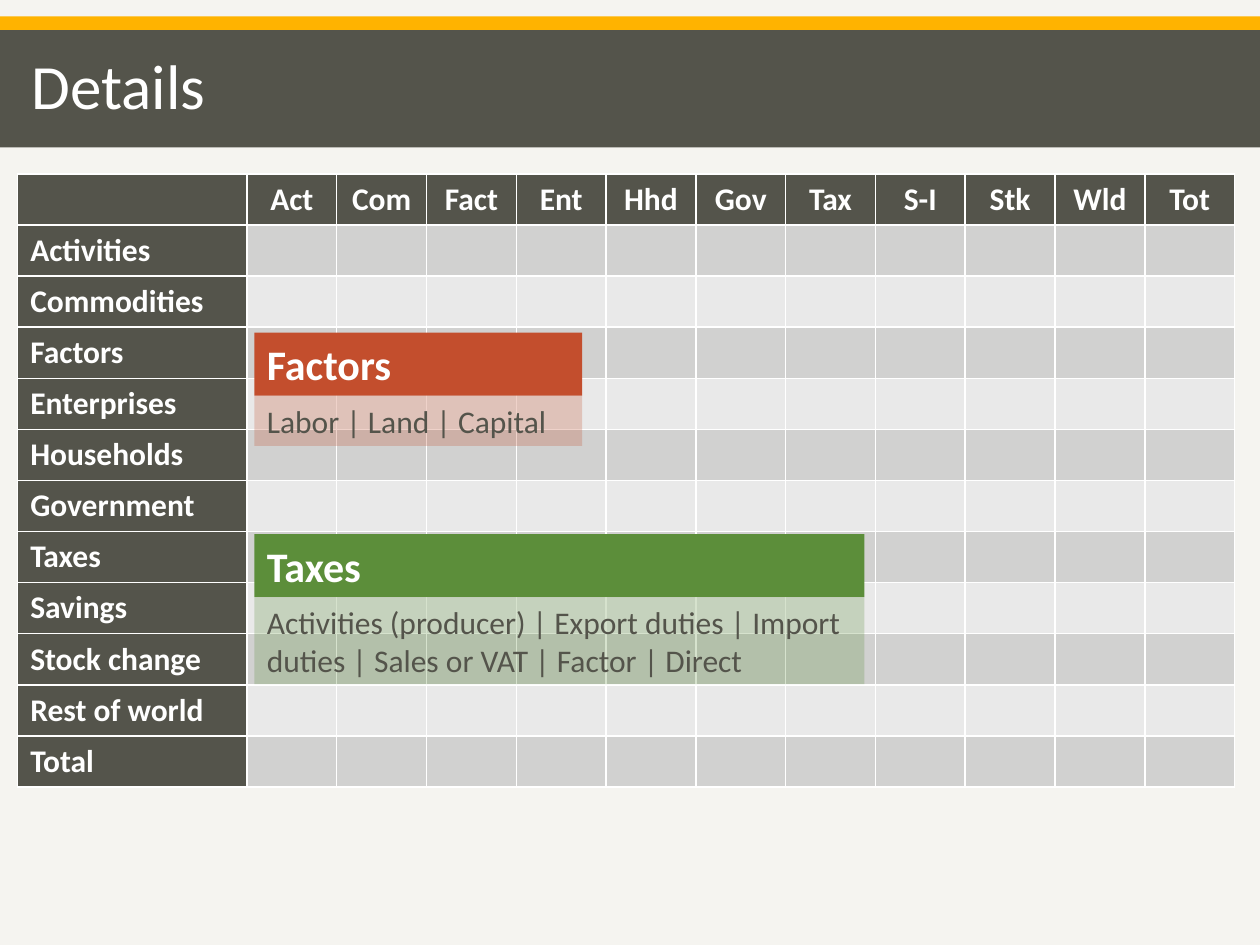
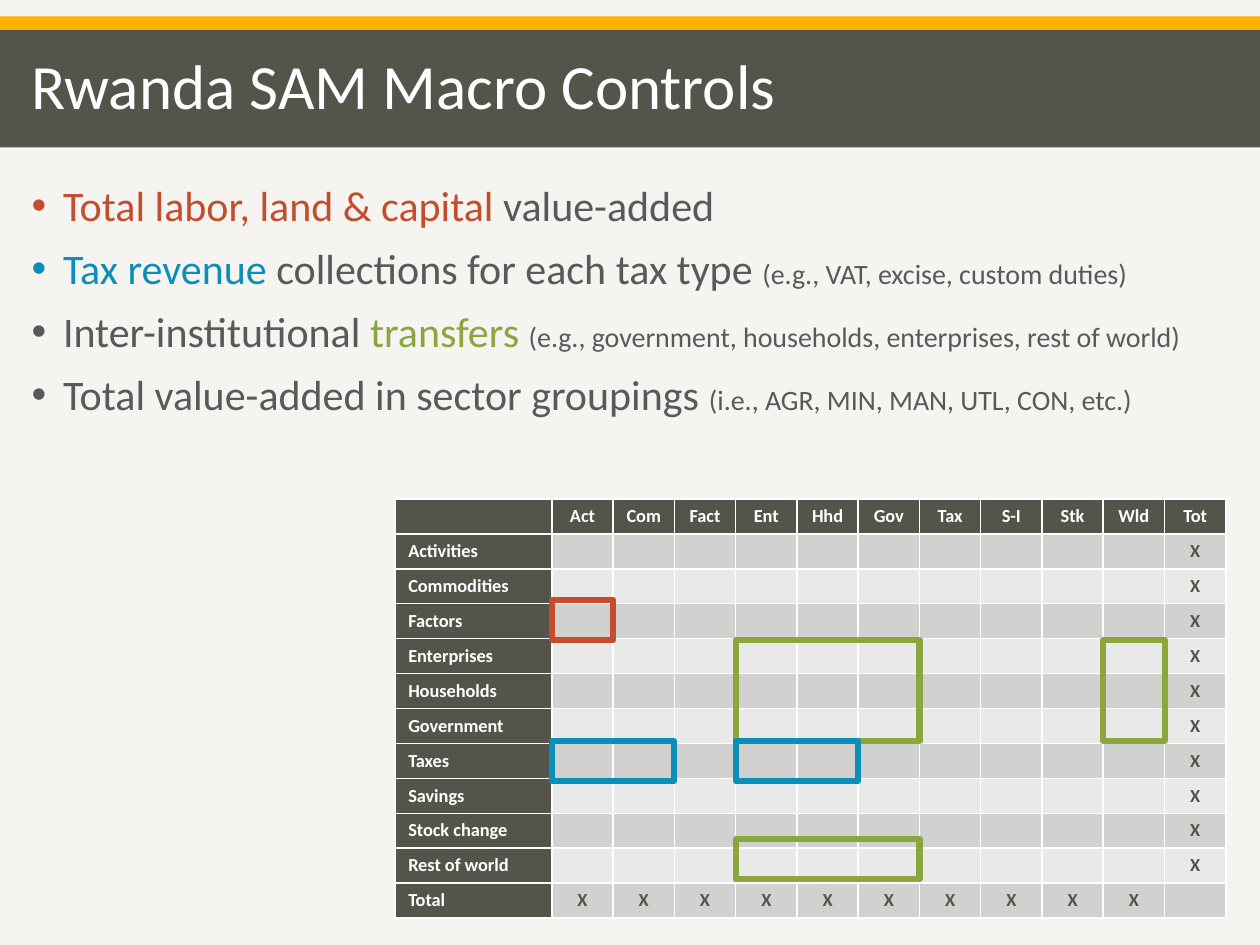
"""Build two slides on the layout and macro controls of a social accounting matrix."""
from dataclasses import dataclass

from lxml.etree import SubElement
from pptx import Presentation
from pptx.dml.color import RGBColor
from pptx.enum.shapes import MSO_SHAPE
from pptx.enum.text import MSO_ANCHOR, MSO_AUTO_SIZE, PP_ALIGN
from pptx.oxml.ns import qn
from pptx.util import Inches, Pt


@dataclass(frozen=True)
class Theme:
    """Colours, font and type sizes shared by the slides."""
    font: str = "Calibri"
    paper: str = "F5F4F0"
    amber: str = "FFB300"
    dark: str = "54544B"
    text: str = "595959"
    white: str = "FFFFFF"
    odd_row: str = "D1D1D0"
    even_row: str = "E9E9E9"
    red: str = "C34E2D"
    green: str = "5C8E3A"
    blue: str = "0B8EB8"
    lime: str = "8AA63D"
    title_size: float = 36
    head_size: float = 24
    body_size: float = 18
    aside_size: float = 16
    small_size: float = 10.5


@dataclass(frozen=True)
class Box:
    """Place and size in inches."""
    left: float
    top: float
    width: float
    height: float

    def emu(self) -> tuple:
        """Return the box as lengths."""
        return tuple(Inches(v) for v in (self.left, self.top, self.width, self.height))


@dataclass(frozen=True)
class Matrix:
    """Place and type size of an accounting matrix."""
    box: Box
    label_width: float
    size: float
    marked: bool = False

    @property
    def column_width(self) -> float:
        """Return the width of one account column."""
        return (self.box.width - self.label_width) / len(COLUMNS)

    def column_left(self, column: int) -> float:
        """Return the left edge of an account column."""
        return self.box.left + self.label_width + column * self.column_width


@dataclass(frozen=True)
class Callout:
    """A heading over a tinted detail panel."""
    heading: str
    detail: str
    color: str
    top: float
    width: float
    detail_height: float


@dataclass(frozen=True)
class Frame:
    """An outline around neighbouring account columns."""
    column: int
    span: int
    top: float
    height: float
    color: str


THEME = Theme()
COLUMNS = ["Act", "Com", "Fact", "Ent", "Hhd", "Gov", "Tax", "S-I", "Stk", "Wld", "Tot"]
ROWS = ["Activities", "Commodities", "Factors", "Enterprises", "Households", "Government",
        "Taxes", "Savings", "Stock change", "Rest of world", "Total"]
DETAIL_MATRIX = Matrix(Box(0.14, 1.38, 9.66, 4.87), 1.82, THEME.body_size)
CONTROL_MATRIX = Matrix(Box(3.14, 3.96, 6.59, 3.3), 1.24, THEME.small_size, marked=True)
CALLOUTS = [
    Callout("Factors", "Labor | Land | Capital", THEME.red, 2.64, 2.6, 0.4),
    Callout("Taxes", "Activities (producer) | Export duties | Import duties | "
            "Sales or VAT | Factor | Direct", THEME.green, 4.24, 4.84, 0.69),
]
FRAMES = [
    Frame(0, 2, 5.88, 0.32, THEME.blue),
    Frame(0, 1, 4.76, 0.32, THEME.red),
    Frame(3, 3, 5.08, 0.8, THEME.lime),
    Frame(3, 2, 5.88, 0.32, THEME.blue),
    Frame(9, 1, 5.08, 0.8, THEME.lime),
    Frame(3, 3, 6.66, 0.32, THEME.lime),
]
HEAD, ASIDE = THEME.head_size, THEME.aside_size
CONTROLS = [
    [("Total labor, land & capital", HEAD, THEME.red), (" value-added", HEAD, THEME.text)],
    [("Tax revenue ", HEAD, THEME.blue),
     ("collections for each tax type ", HEAD, THEME.text),
     ("(e.g., VAT, excise, custom duties)", ASIDE, THEME.text)],
    [("Inter-institutional ", HEAD, THEME.text), ("transfers ", HEAD, THEME.lime),
     ("(e.g., government, households, enterprises, rest of world)", ASIDE, THEME.text)],
    [("Total value-added in sector groupings ", HEAD, THEME.text),
     ("(i.e., AGR, MIN, MAN, UTL, CON, etc.)", ASIDE, THEME.text)],
]


def rgb(color: str) -> RGBColor:
    """Return a colour object."""
    return RGBColor.from_string(color)


def write(p, text: str, *, size: float, color: str, bold: bool = False,
          align=PP_ALIGN.LEFT) -> None:
    """Add a formatted run to a paragraph."""
    p.alignment = align
    r = p.add_run()
    r.text = text
    r.font.name = THEME.font
    r.font.size = Pt(size)
    r.font.bold = bold
    r.font.color.rgb = rgb(color)


def place(sp, box: Box) -> None:
    """Move a shape to a box."""
    sp.left, sp.top, sp.width, sp.height = box.emu()


def add_rect(s, box: Box, *, fill: str = "", line: str = "", alpha: int = 100):
    """Add a rectangle with a fill or an outline."""
    sp = s.shapes.add_shape(MSO_SHAPE.RECTANGLE, *box.emu())
    sp.shadow.inherit = False
    if fill:
        sp.fill.solid()
        sp.fill.fore_color.rgb = rgb(fill)
        if alpha < 100:
            clr = sp.fill._xPr.find(qn("a:solidFill"))[0]
            SubElement(clr, qn("a:alpha"), val=str(alpha * 1000))
    else:
        sp.fill.background()
    if line:
        sp.line.color.rgb = rgb(line)
        sp.line.width = Pt(3.5)
    else:
        sp.line.fill.background()
    return sp


def add_panel(s, box: Box, text: str, *, fill: str, alpha: int = 100, **fmt) -> None:
    """Add a filled rectangle holding text."""
    tf = add_rect(s, box, fill=fill, alpha=alpha).text_frame
    tf.word_wrap = True
    tf.vertical_anchor = MSO_ANCHOR.TOP
    write(tf.paragraphs[0], text, **fmt)


def add_callout(s, c: Callout) -> None:
    """Add a heading and its tinted detail."""
    left, head_height = 2.02, 0.5
    add_panel(s, Box(left, c.top, c.width, head_height), c.heading, fill=c.color,
              size=THEME.head_size, color=THEME.white, bold=True)
    add_panel(s, Box(left, c.top + head_height, c.width, c.detail_height), c.detail,
              fill=c.color, alpha=25, size=THEME.body_size, color=THEME.dark)


def format_cell(cell, text: str, *, fill: str, size: float, color: str, align) -> None:
    """Fill, border and write one table cell."""
    tc_pr = cell._tc.get_or_add_tcPr()
    for side in ("lnL", "lnR", "lnT", "lnB"):
        ln = SubElement(tc_pr, qn(f"a:{side}"), w=str(Pt(1)))
        SubElement(SubElement(ln, qn("a:solidFill")), qn("a:srgbClr"), val=THEME.white)
    cell.fill.solid()
    cell.fill.fore_color.rgb = rgb(fill)
    p = cell.text_frame.paragraphs[0]
    if text:
        write(p, text, size=size, color=color, bold=True, align=align)
    else:
        SubElement(p._p, qn("a:endParaRPr"), sz=str(int(size * 100)))


def cell_text(row: int, column: int, marked: bool) -> str:
    """Return the header, label or total mark of a cell."""
    if row == 0:
        return COLUMNS[column - 1] if column else ""
    if column == 0:
        return ROWS[row - 1]
    is_total = (row == len(ROWS)) != (column == len(COLUMNS))
    return "X" if marked and is_total else ""


def add_matrix(s, m: Matrix) -> None:
    """Add the accounting matrix as a table."""
    n_rows, n_columns = len(ROWS) + 1, len(COLUMNS) + 1
    table = s.shapes.add_table(n_rows, n_columns, *m.box.emu()).table
    for i, column in enumerate(table.columns):
        column.width = Inches(m.column_width if i else m.label_width)
    for row, table_row in enumerate(table.rows):
        table_row.height = Inches(m.box.height / n_rows)
        band = THEME.odd_row if row % 2 else THEME.even_row
        for column, cell in enumerate(table_row.cells):
            header = row == 0 or column == 0
            format_cell(cell, cell_text(row, column, m.marked),
                        fill=THEME.dark if header else band, size=m.size,
                        color=THEME.white if header else THEME.dark,
                        align=PP_ALIGN.CENTER if column else PP_ALIGN.LEFT)


def add_slide(prs, layout: int, title: str):
    """Add a slide with its title in the dark band."""
    s = prs.slides.add_slide(prs.slide_layouts[layout])
    sp = s.shapes.title
    place(sp, Box(0.15, 0.24, 8.83, 0.93))
    tf = sp.text_frame
    tf.vertical_anchor = MSO_ANCHOR.MIDDLE
    tf.auto_size = MSO_AUTO_SIZE.NONE
    p = tf.paragraphs[0]
    p.line_spacing = 0.9
    write(p, title, size=THEME.title_size, color=THEME.white)
    return s


def add_bullets(sp, items: list) -> None:
    """Write bulleted paragraphs of formatted runs."""
    tf = sp.text_frame
    tf.auto_size = MSO_AUTO_SIZE.NONE
    for i, runs in enumerate(items):
        p = tf.add_paragraph() if i else tf.paragraphs[0]
        p_pr = p._p.get_or_add_pPr()
        p_pr.set("marL", str(Inches(0.25)))
        p_pr.set("indent", str(-Inches(0.25)))
        SubElement(p_pr, qn("a:buFont"), typeface="Arial")
        SubElement(p_pr, qn("a:buChar"), char="•")
        p.line_spacing = 0.9
        p.space_before = Pt(10 if i else 0)
        for text, size, color in runs:
            write(p, text, size=size, color=color)


def style_master(prs, s) -> None:
    """Give the master its background and title bands."""
    master = prs.slide_master
    master.background.fill.solid()
    master.background.fill.fore_color.rgb = rgb(THEME.paper)
    bands = [(Box(0, 0.13, 10, 0.11), THEME.amber), (Box(0, 0.24, 10, 0.93), THEME.dark)]
    for i, (box, color) in enumerate(bands):
        master.shapes.element.insert(2 + i, add_rect(s, box, fill=color).element)


def main() -> None:
    """Build and save the slides."""
    prs = Presentation()
    prs.slide_width, prs.slide_height = Inches(10), Inches(7.5)

    s = add_slide(prs, 5, "Details")
    style_master(prs, s)
    add_matrix(s, DETAIL_MATRIX)
    for callout in CALLOUTS:
        add_callout(s, callout)

    s = add_slide(prs, 1, "Rwanda SAM Macro Controls")
    body = s.placeholders[1]
    place(body, Box(0.15, 1.42, 9.66, 2.33))
    add_bullets(body, CONTROLS)
    add_matrix(s, CONTROL_MATRIX)
    for f in FRAMES:
        left = CONTROL_MATRIX.column_left(f.column)
        width = f.span * CONTROL_MATRIX.column_width
        add_rect(s, Box(left, f.top, width, f.height), line=f.color)

    prs.save("out.pptx")


if __name__ == "__main__":
    main()
